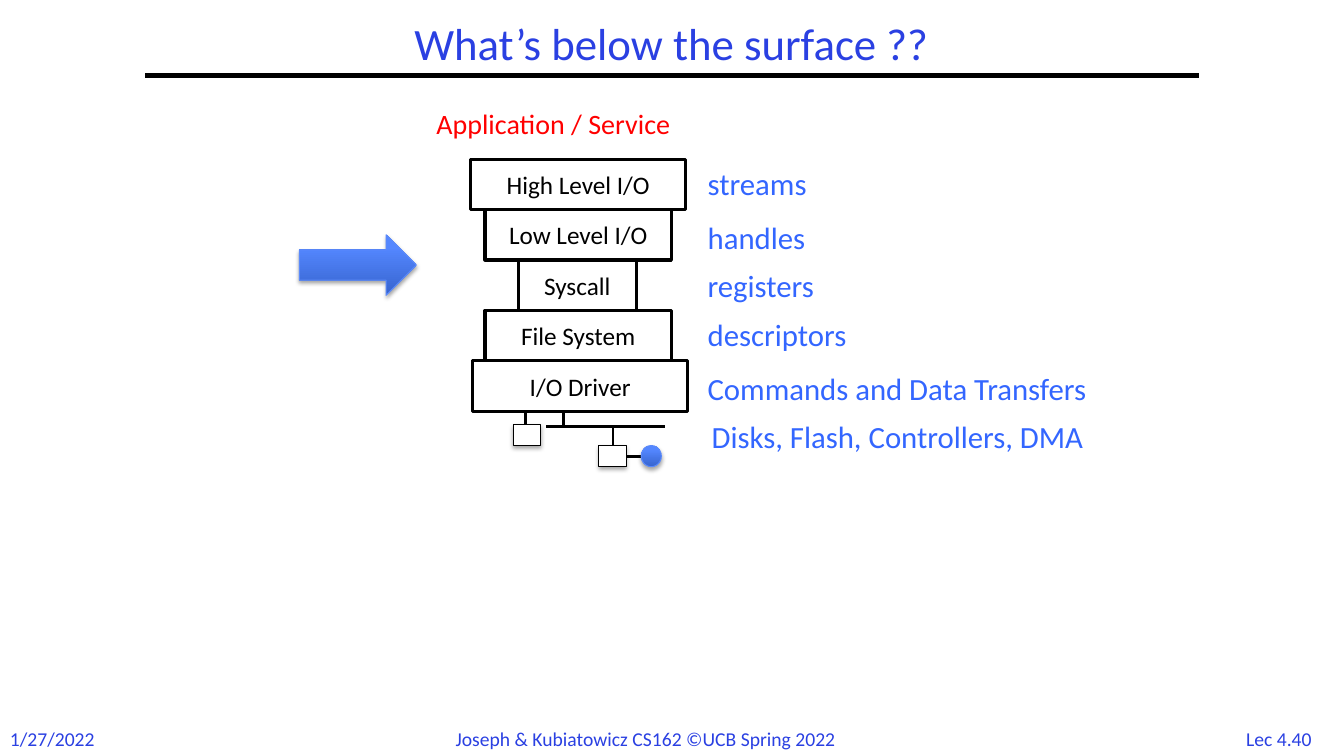
"""Draw the layers of an I/O stack beneath an application."""
import pptx
import pptx.util
import pptx.dml.color
import pptx.enum.shapes
import pptx.enum.text
import pptx.oxml
import pptx.oxml.ns

HUES = {"ink": "000000", "paper": "FFFFFF", "title": "2A40E2", "note": "3366FF",
        "app": "FF0000", "deep": "3764CE", "light": "5487FF", "rim": "5B8AFB"}
CELL = 0.5
KINDS = pptx.enum.shapes.MSO_SHAPE
ALIGN = pptx.enum.text.PP_ALIGN


def grid(*cells):
    """Turn counts of grid cells into lengths."""
    return [pptx.util.Inches(cell * CELL) for cell in cells]


def hue(name):
    """Look up a colour by name."""
    return pptx.dml.color.RGBColor.from_string(HUES[name])


def write(frame, text, size=18, color="ink", align=ALIGN.LEFT, wrap=False, space=1.0):
    """Put one formatted paragraph into a text frame."""
    frame.word_wrap = wrap
    frame.vertical_anchor = pptx.enum.text.MSO_ANCHOR.MIDDLE
    para = frame.paragraphs[0]
    para.alignment = align
    para.line_spacing = space
    run = para.add_run()
    run.text = text
    run.font.name = "Calibri"
    run.font.size = pptx.util.Pt(size)
    run.font.color.rgb = hue(color)


def label(slide, text, place, **form):
    """Add a text box on the grid."""
    write(slide.shapes.add_textbox(*grid(*place)).text_frame, text, **form)


def line(slide, ends, width=2):
    """Add a straight black line."""
    wire = slide.shapes.add_connector(
        pptx.enum.shapes.MSO_CONNECTOR.STRAIGHT, *grid(*ends))
    wire.line.color.rgb = hue("ink")
    wire.line.width = pptx.util.Pt(width)
    props = wire._element.spPr
    props.append(props.makeelement(pptx.oxml.ns.qn("a:effectLst"), {}))


def shape(slide, kind, place, rim="ink", width=0.75):
    """Add a white outlined shape without shadow."""
    form = slide.shapes.add_shape(kind, *grid(*place))
    form.shadow.inherit = False
    form.fill.solid()
    form.fill.fore_color.rgb = hue("paper")
    form.line.color.rgb = hue(rim)
    form.line.width = pptx.util.Pt(width)
    return form


def shade(form):
    """Give a shape a soft shadow below it."""
    glow = pptx.oxml.parse_xml(
        f'<a:outerShdw {pptx.oxml.ns.nsdecls("a")} blurRad="39370" dist="22860" '
        'dir="5400000" rotWithShape="0"><a:srgbClr val="000000">'
        '<a:alpha val="35000"/></a:srgbClr></a:outerShdw>')
    form._element.spPr.find(pptx.oxml.ns.qn("a:effectLst")).append(glow)


def blend(slide, kind, place):
    """Add a shaded shape with a blue gradient."""
    form = shape(slide, kind, place, rim="rim")
    form.fill.gradient()
    form.fill.gradient_angle = 90
    for stop, (spot, name) in zip(form.fill.gradient_stops,
                                  ((0, "deep"), (0.8, "light"))):
        stop.position = spot
        stop.color.rgb = hue(name)
    shade(form)


def frame(slide):
    """Add the title, its rule and the footer."""
    label(slide, "What’s below the surface ??", (2.88, 0.34, 20.88, 1.16),
          size=32, color="title", align=ALIGN.CENTER, wrap=True, space=0.9)
    line(slide, (2.88, 1.5, 23.78, 1.5), width=3)
    for text, left, width, align in (
            ("1/27/2022", 0, 2.14, ALIGN.LEFT),
            ("Joseph & Kubiatowicz CS162 ©UCB Spring 2022", 8.84, 9, ALIGN.LEFT),
            ("Lec 4.40", 24.4, 1.94, ALIGN.CENTER)):
        label(slide, text, (left, 14.32, width, 0.68),
              size=14, color="title", align=align)


def wires(slide):
    """Add the devices hanging below the driver."""
    for ends in ((10.84, 8.46, 13.2, 8.46), (11.18, 8.06, 11.18, 8.46),
                 (12.16, 8.46, 12.16, 8.84), (12.42, 9.06, 12.72, 9.06),
                 (10.42, 8.02, 10.42, 8.42)):
        line(slide, ends)
    for left, top in ((11.88, 8.84), (10.18, 8.42)):
        shade(shape(slide, KINDS.RECTANGLE, (left, top, 0.54, 0.42)))
    blend(slide, KINDS.OVAL, (12.72, 8.84, 0.4, 0.42))


def stack(slide):
    """Add the layers, one grid row each."""
    layers = (("High Level I/O", 9.34, 4.26), ("Low Level I/O", 9.62, 3.7),
              ("Syscall", 10.28, 2.34), ("File System", 9.62, 3.7),
              ("I/O Driver", 9.38, 4.26))
    for row, (text, left, width) in reversed(list(enumerate(layers))):
        box = shape(slide, KINDS.RECTANGLE, (left, 3.16 + row, width, 1), width=2.25)
        write(box.text_frame, text, align=ALIGN.CENTER, wrap=True)


def notes(slide):
    """Add what each layer deals in."""
    for text, left, top, width in (
            ("streams", 13.84, 3.16, 2.6), ("handles", 13.84, 4.24, 2.56),
            ("registers", 13.84, 5.18, 2.78), ("descriptors", 13.84, 6.16, 3.42),
            ("Commands and Data Transfers", 13.84, 7.24, 9),
            ("Disks, Flash, Controllers, DMA", 13.92, 8.18, 8.82)):
        label(slide, text, (left, top, width, 0.94), size=22, color="note")


def main():
    """Build and save the slide."""
    deck = pptx.Presentation()
    deck.slide_width = pptx.util.Inches(13.33)
    deck.slide_height = pptx.util.Inches(7.5)
    slide = deck.slides.add_slide(deck.slide_layouts[6])
    frame(slide)
    label(slide, "Application / Service", (8.46, 2, 5.48, 0.88), size=20, color="app")
    blend(slide, KINDS.RIGHT_ARROW, (5.94, 4.66, 2.32, 1.2))
    wires(slide)
    stack(slide)
    notes(slide)
    deck.save("out.pptx")


if __name__ == "__main__":
    main()
